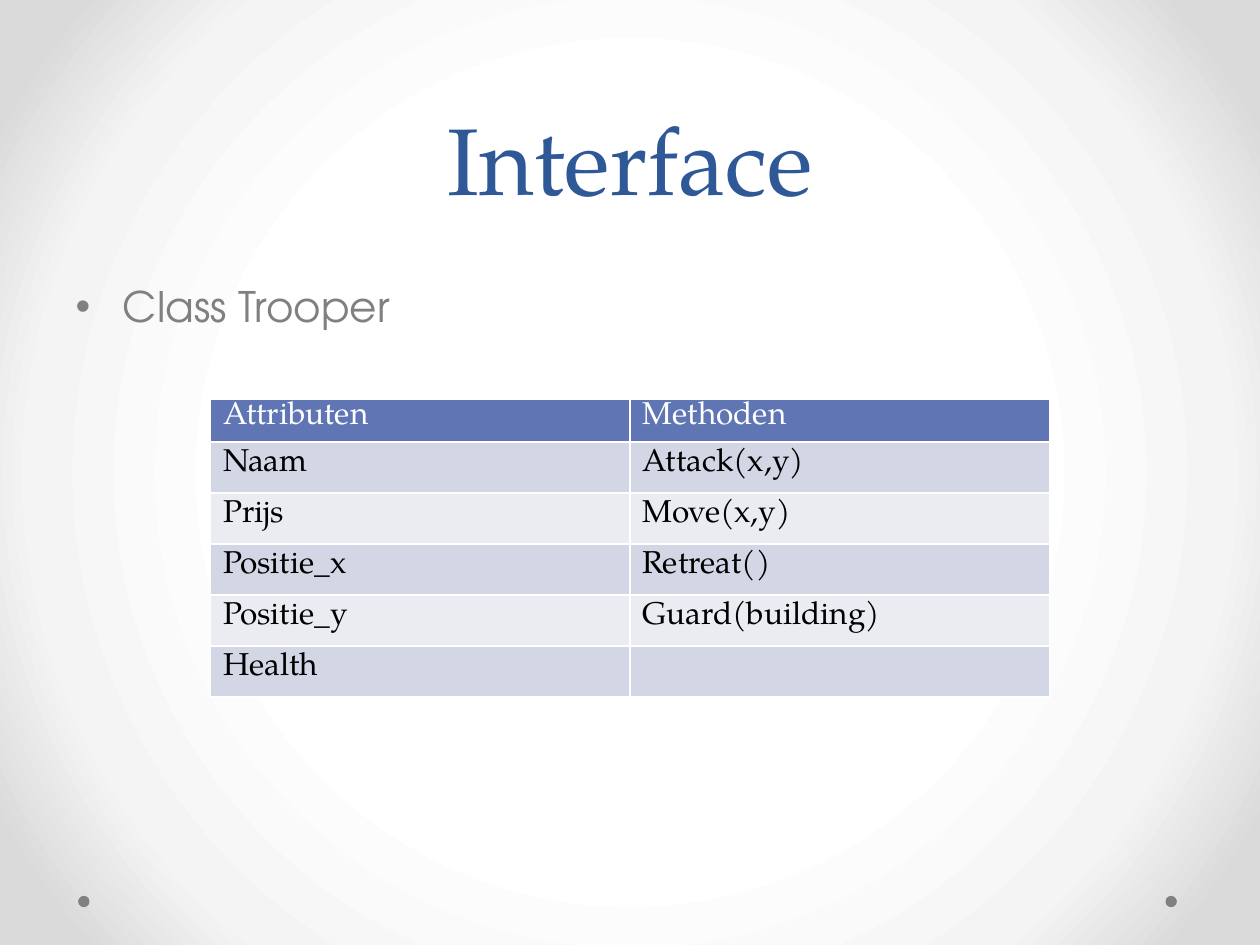
import pptx
import pptx.dml.color
import pptx.enum.shapes
import pptx.enum.text
import pptx.oxml
import pptx.oxml.ns
import pptx.util
from pptx.util import Inches

theme = {
    "serif": "TeX Gyre Pagella", "sans": "TeX Gyre Adventor",
    "title": "2F5897", "muted": "808080", "header": "6076B4",
    "bands": ["D2D6E5", "EAECF2"], "light": "FFFFFF", "dark": "000000",
    "title_size": 54, "body_size": 24, "table_size": 18,
    "glow": [(50, "FFFFFF"), (76, "F4F4F4"), (92, "DADADA")],
}
namespace = pptx.oxml.ns.nsdecls("a")


def style_font(para, face, size, color):
    para.font.name = theme[face]
    para.font.size = pptx.util.Pt(theme[size])
    para.font.color.rgb = pptx.dml.color.RGBColor.from_string(theme[color])


def paint(fill, color):
    fill.solid()
    fill.fore_color.rgb = pptx.dml.color.RGBColor.from_string(color)


deck = pptx.Presentation()
deck.slide_width, deck.slide_height = Inches(10), Inches(7.5)
page = deck.slides.add_slide(deck.slide_layouts[1])

page.background.fill.gradient()
gradient = page.element.find(".//" + pptx.oxml.ns.qn("a:gradFill"))
stops = "".join(
    f'<a:gs pos="{position * 1000}"><a:srgbClr val="{color}"/></a:gs>'
    for position, color in theme["glow"]
)
gradient.getparent().replace(gradient, pptx.oxml.parse_xml(
    f'<a:gradFill {namespace} rotWithShape="1"><a:gsLst>{stops}</a:gsLst>'
    '<a:path path="circle"><a:fillToRect l="50000" t="50000" r="50000" b="50000"/>'
    '</a:path></a:gradFill>'
))

for left in (9.25, 0.62):
    dot = page.shapes.add_shape(
        pptx.enum.shapes.MSO_SHAPE.OVAL,
        Inches(left), Inches(7.11), Inches(0.09), Inches(0.09),
    )
    dot.shadow.inherit = False
    paint(dot.fill, theme["muted"])
    dot.line.fill.background()

title = page.shapes.title
title.left, title.top = Inches(0.5), Inches(0)
title.width, title.height = Inches(9), Inches(1.75)
title.text_frame.text = "Interface"
title.text_frame.auto_size = pptx.enum.text.MSO_AUTO_SIZE.NONE
title.text_frame.vertical_anchor = pptx.enum.text.MSO_ANCHOR.BOTTOM
heading = title.text_frame.paragraphs[0]
heading.alignment = pptx.enum.text.PP_ALIGN.CENTER
heading.line_spacing = pptx.util.Pt(58)
style_font(heading, "serif", "title_size", "title")

body = page.placeholders[1]
body.left, body.top = Inches(0.5), Inches(1.75)
body.width, body.height = Inches(9), Inches(4.95)
body.text_frame.text = "Class Trooper"
body.text_frame.auto_size = pptx.enum.text.MSO_AUTO_SIZE.NONE
body.text_frame.margin_top = Inches(0.48)
bullet = body.text_frame.paragraphs[0]
bullet.space_before = pptx.util.Pt(0)
style_font(bullet, "sans", "body_size", "muted")

members = [
    ("Attributen", "Methoden"),
    ("Naam", "Attack(x,y)"),
    ("Prijs", "Move(x,y)"),
    ("Positie_x", "Retreat()"),
    ("Positie_y", "Guard(building)"),
    ("Health", ""),
]
header_height, row_height = 0.34, 0.405
table_height = header_height + row_height * (len(members) - 1)
table = page.shapes.add_table(
    len(members), 2, Inches(1.67), Inches(3.17), Inches(6.66), Inches(table_height)
).table
for column in table.columns:
    column.width = Inches(3.33)
for row_index, texts in enumerate(members):
    is_header = row_index == 0
    table.rows[row_index].height = Inches(header_height if is_header else row_height)
    for cell, text in zip(table.rows[row_index].cells, texts):
        cell.text = text
        para = cell.text_frame.paragraphs[0]
        style_font(para, "serif", "table_size", "light" if is_header else "dark")
        para.font.bold = False
        cell.margin_top = cell.margin_bottom = Inches(0.02 if is_header else 0.05)
        paint(cell.fill, theme["header"] if is_header else theme["bands"][(row_index - 1) % 2])
        properties = cell._tc.get_or_add_tcPr()
        for order, side in enumerate("LRTB"):
            properties.insert(order, pptx.oxml.parse_xml(
                f'<a:ln{side} {namespace} w="12700"><a:solidFill>'
                f'<a:srgbClr val="{theme["light"]}"/></a:solidFill></a:ln{side}>'
            ))

deck.save("out.pptx")
